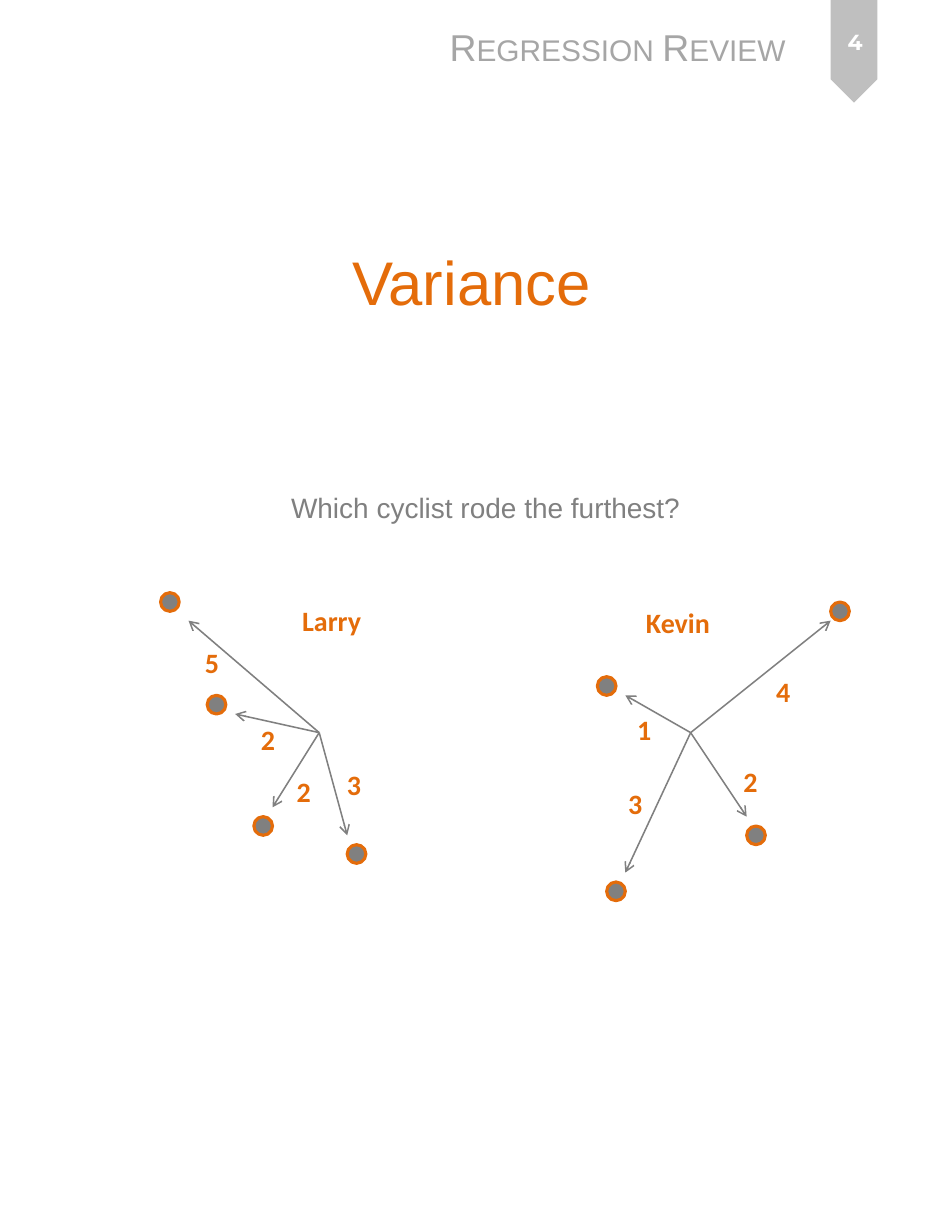
from pptx import Presentation
from pptx.dml.color import RGBColor
from pptx.enum.shapes import MSO_CONNECTOR, MSO_SHAPE
from pptx.enum.text import MSO_ANCHOR, PP_ALIGN
from pptx.oxml.ns import qn
from pptx.util import Pt
from lxml import etree

STRAIGHT = MSO_CONNECTOR.STRAIGHT
PENTAGON, OVAL = MSO_SHAPE.PENTAGON, MSO_SHAPE.OVAL
TOP, MIDDLE = MSO_ANCHOR.TOP, MSO_ANCHOR.MIDDLE
LEFT, CENTER = PP_ALIGN.LEFT, PP_ALIGN.CENTER
ORANGE, GRAY = "E46C0A", "808080"


def color(hex_string):
    return RGBColor.from_string(hex_string)


def write(shape, text, size=18, font="Calibri", fill=ORANGE, bold=False,
          align=LEFT, anchor=TOP, wrap=False, small_caps=False):
    frame = shape.text_frame
    frame.word_wrap = wrap
    frame.vertical_anchor = anchor
    paragraph = frame.paragraphs[0]
    paragraph.alignment = align
    run = paragraph.add_run()
    run.text = text
    run.font.size = Pt(size)
    run.font.name = font
    run.font.bold = bold
    run.font.color.rgb = color(fill)
    if small_caps:
        run._r.get_or_add_rPr().set("cap", "small")


presentation = Presentation()
presentation.slide_width, presentation.slide_height = Pt(612), Pt(792)
slide = presentation.slides.add_slide(presentation.slide_layouts[5])
shapes = slide.shapes

page_tab = shapes.add_shape(PENTAGON, Pt(516), Pt(18), Pt(66), Pt(30))
page_tab.rotation = 90
page_tab.shadow.inherit = False
page_tab.fill.solid()
page_tab.fill.fore_color.rgb = color("BFBFBF")
page_tab.line.fill.background()

page_number = shapes.add_textbox(Pt(522.7), Pt(5.8), Pt(54), Pt(42.5))
write(page_number, "4", size=14, font="Montserrat", fill="FFFFFF", bold=True,
      align=CENTER, anchor=MIDDLE, wrap=True)

header = shapes.add_textbox(Pt(282), Pt(12), Pt(234), Pt(36))
write(header, "Regression Review", size=24, font="Arial", fill="A6A6A6", small_caps=True)

title = shapes.title
title.left, title.top, title.width, title.height = Pt(43), Pt(102), Pt(520), Pt(126)
title.text_frame.margin_top = Pt(55)
write(title, "Variance", size=39.6, font="Arial", align=CENTER, wrap=True)

question = shapes.add_textbox(Pt(180), Pt(312), Pt(273), Pt(29))
write(question, "Which cyclist rode the furthest?", font="Arial", fill=GRAY)

# Each ride: arrow end, dot corner, label text and label corner.
cyclists = [
    ("Larry", (187.2, 384.5), 52.6, (205.2, 471), [
        ((151.2, 459), (133.2, 447), "2", (160.6, 460.8)),
        ((175.2, 519), (163.2, 525), "2", (183.6, 494.6)),
        ((121.2, 399), (103.2, 381), "5", (124.6, 411.1)),
        ((223.2, 537), (223.2, 543), "3", (216, 489.6)),
    ]),
    ("Kevin", (408.2, 385.9), 56.2, (444, 471), [
        ((534, 399), (534, 387), "4", (491.8, 429.8)),
        ((480, 525), (480, 531), "2", (470.9, 488.2)),
        ((402, 447), (384, 435), "1", (402.5, 454.3)),
        ((402, 561), (390, 567), "3", (396.7, 501.8)),
    ]),
]

for name, (name_left, name_top), name_width, (start_x, start_y), rides in cyclists:
    name_box = shapes.add_textbox(Pt(name_left), Pt(name_top), Pt(name_width), Pt(29))
    write(name_box, name, bold=True)
    for (end_x, end_y), (dot_left, dot_top), distance, (label_left, label_top) in rides:
        arrow = shapes.add_connector(STRAIGHT, Pt(start_x), Pt(start_y), Pt(end_x), Pt(end_y))
        arrow.line.color.rgb = color(GRAY)
        arrow.line.width = Pt(1)
        etree.SubElement(arrow.line._get_or_add_ln(), qn("a:tailEnd"), type="arrow")
        etree.SubElement(arrow._element.spPr, qn("a:effectLst"))

        dot = shapes.add_shape(OVAL, Pt(dot_left), Pt(dot_top), Pt(12), Pt(12))
        dot.shadow.inherit = False
        dot.fill.solid()
        dot.fill.fore_color.rgb = color(GRAY)
        dot.line.color.rgb = color(ORANGE)
        dot.line.width = Pt(2)

        label = shapes.add_textbox(Pt(label_left), Pt(label_top), Pt(23.8), Pt(29))
        write(label, distance, bold=True)

presentation.save("out.pptx")
